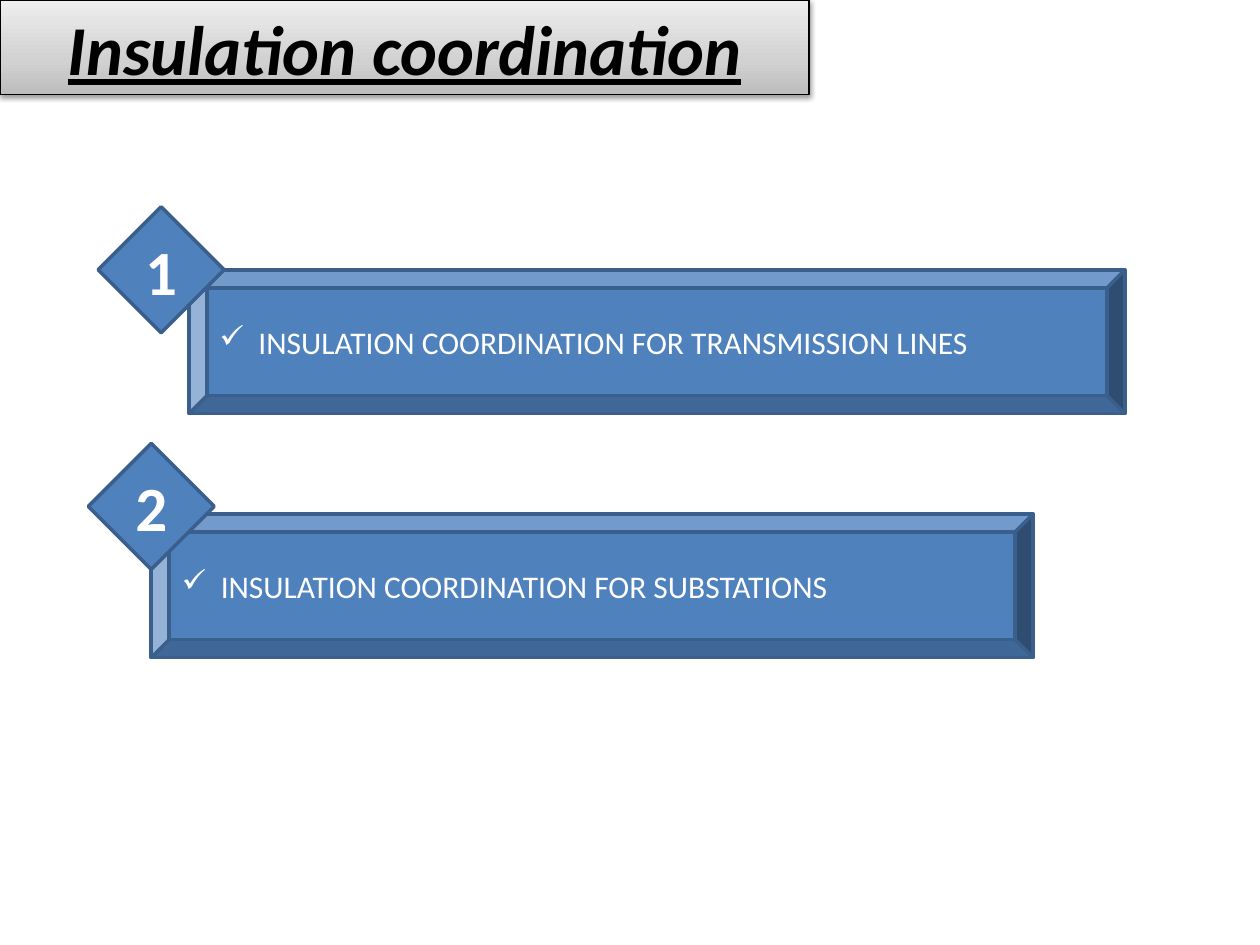
from lxml.etree import fromstring
from pptx import Presentation
from pptx.dml.color import RGBColor
from pptx.enum.shapes import MSO_SHAPE
from pptx.enum.text import MSO_ANCHOR, MSO_AUTO_SIZE, PP_ALIGN
from pptx.oxml.ns import nsdecls
from pptx.util import Cm, Pt


def color(hex_code):
    return RGBColor.from_string(hex_code)


def style(shape, text, size, line, width, text_color, align, bold):
    shape.line.color.rgb = color(line)
    shape.line.width = Pt(width)
    frame = shape.text_frame
    frame.text = text
    frame.word_wrap = True
    frame.vertical_anchor = MSO_ANCHOR.MIDDLE
    paragraph = frame.paragraphs[0]
    paragraph.alignment = align
    font = paragraph.runs[0].font
    font.name = "Calibri"
    font.size = Pt(size)
    font.bold = bold
    font.color.rgb = color(text_color)
    return paragraph


prs = Presentation()
prs.slide_width, prs.slide_height = Cm(25.4), Cm(19.05)
slide = prs.slides.add_slide(prs.slide_layouts[5])

# Title: rounded bar with a grey gradient and a soft shadow
title = slide.shapes.title
title.left, title.top, title.width, title.height = Cm(0), Cm(0), Cm(16.31), Cm(1.9)
ns = nsdecls("a")
stops = "".join(
    f'<a:gs pos="{percent * 1000}"><a:srgbClr val="{shade}"/></a:gs>'
    for percent, shade in [(0, "BDBDBD"), (35, "D1D1D1"), (100, "EEEEEE")]
)
title_properties = title.element.spPr
title_properties.append(fromstring(
    f'<a:prstGeom {ns} prst="roundRect"><a:avLst/></a:prstGeom>'))
title_properties.append(fromstring(
    f'<a:gradFill {ns}><a:gsLst>{stops}</a:gsLst><a:lin ang="16200000" scaled="0"/></a:gradFill>'))
heading = style(title, "Insulation coordination", 40, "000000", 0.75, "000000",
                PP_ALIGN.CENTER, True)
heading.runs[0].font.italic = True
heading.runs[0].font.underline = True
title.text_frame.auto_size = MSO_AUTO_SIZE.NONE
title_properties.append(fromstring(
    f'<a:effectLst {ns}><a:outerShdw blurRad="{Pt(3.1)}" dist="{Pt(1.6)}" dir="5400000" '
    f'rotWithShape="0"><a:srgbClr val="000000"><a:alpha val="38000"/></a:srgbClr>'
    f'</a:outerShdw></a:effectLst>'))

# Topics: bevelled bar with a numbered diamond on its corner
topics = [
    ("INSULATION COORDINATION FOR TRANSMISSION LINES", (3.81, 5.44, 18.87), (1.98, 4.17)),
    ("INSULATION COORDINATION FOR SUBSTATIONS", (3.05, 10.36, 17.78), (1.78, 8.94)),
]
for number, (topic, (left, top, width), (diamond_left, diamond_top)) in enumerate(topics, 1):
    bar = slide.shapes.add_shape(MSO_SHAPE.BEVEL, Cm(left), Cm(top), Cm(width), Cm(2.9))
    diamond = slide.shapes.add_shape(
        MSO_SHAPE.DIAMOND, Cm(diamond_left), Cm(diamond_top), Cm(2.54), Cm(2.54))
    for part in (bar, diamond):
        part.shadow.inherit = False
        part.fill.solid()
        part.fill.fore_color.rgb = color("4F81BD")

    line = style(bar, topic, 18, "3A5F8C", 2, "FFFFFF", PP_ALIGN.LEFT, False)
    bullet = line._p.get_or_add_pPr()
    bullet.set("marL", str(Cm(0.79)))
    bullet.set("indent", str(-Cm(0.79)))
    bullet.append(fromstring(f'<a:buChar {ns} char="✓"/>'))
    style(diamond, str(number), 36, "3A5F8C", 2, "FFFFFF", PP_ALIGN.CENTER, True)

prs.save("out.pptx")
